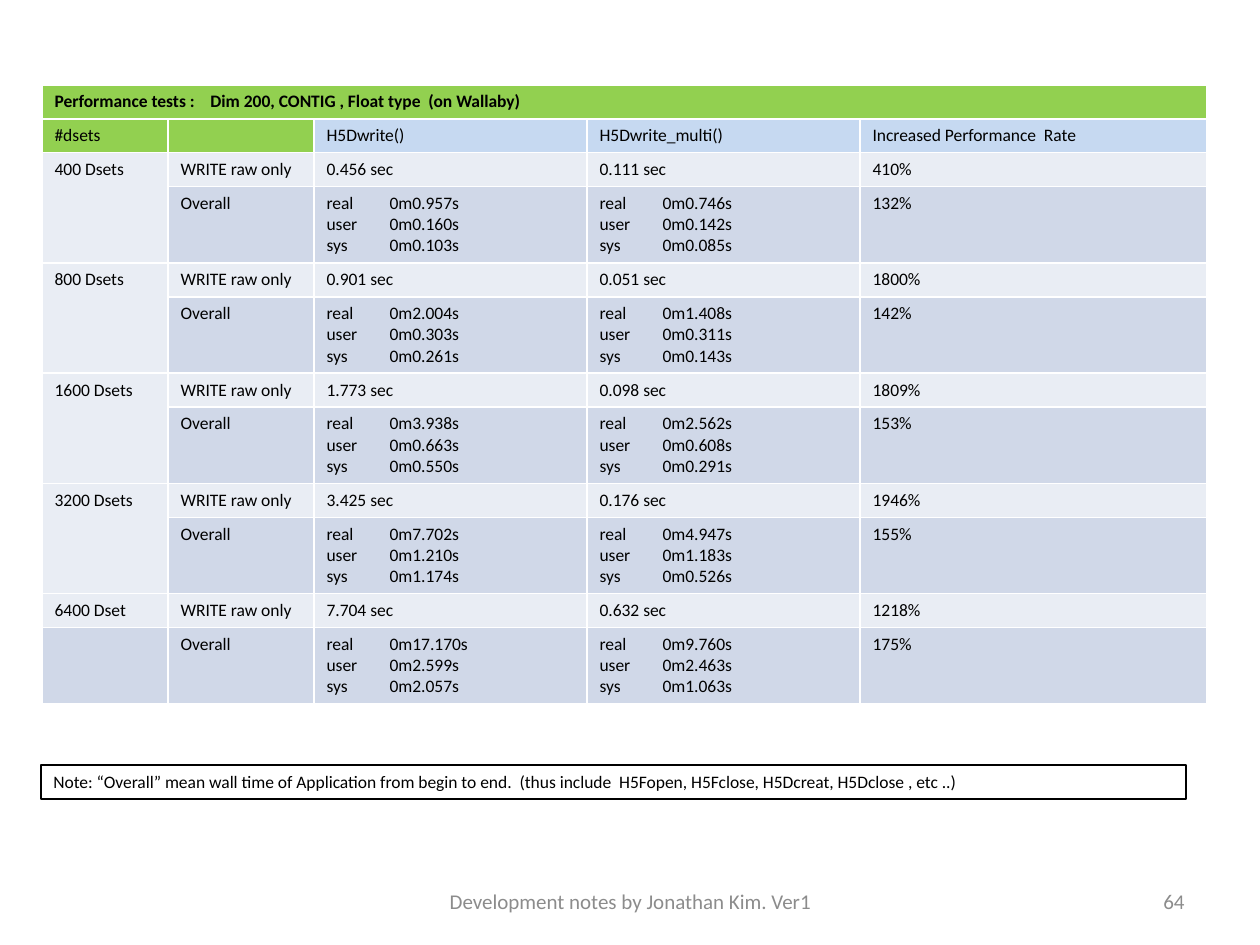
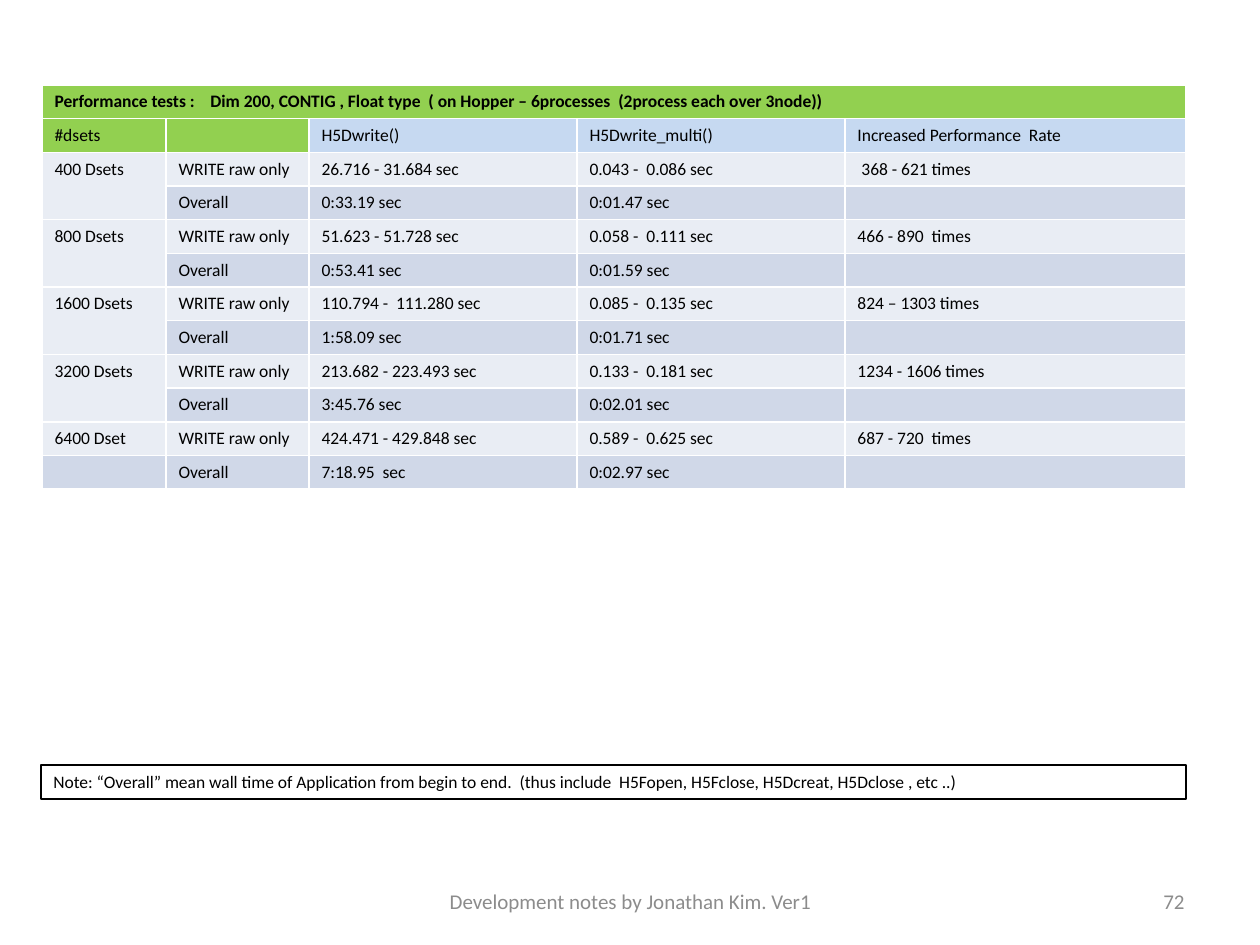
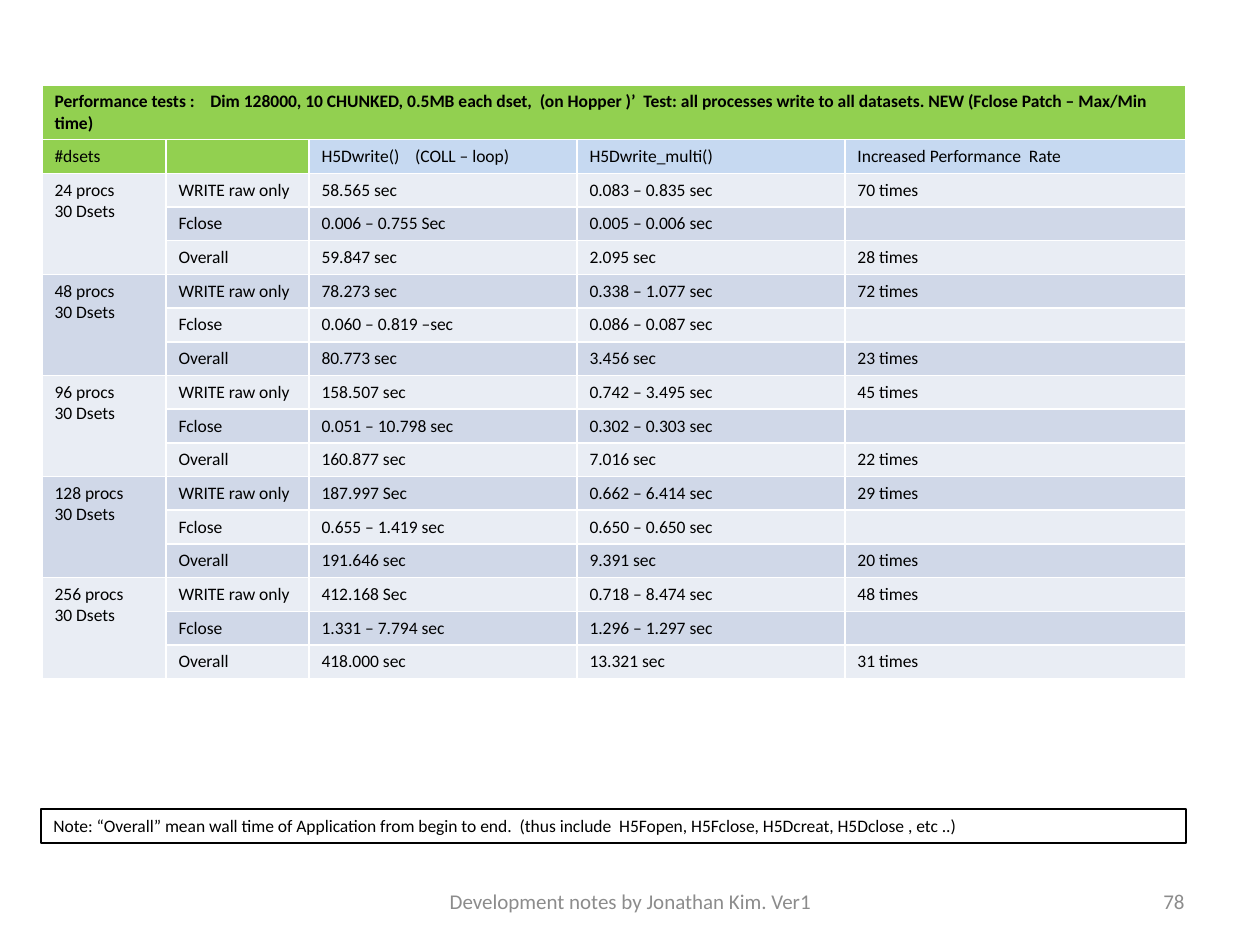
from pptx import Presentation
from pptx.dml.color import RGBColor
from pptx.enum.shapes import MSO_SHAPE
from pptx.enum.text import MSO_ANCHOR, PP_ALIGN
from pptx.util import Emu, Pt

RECTANGLE = MSO_SHAPE.RECTANGLE
TOP, MIDDLE = MSO_ANCHOR.TOP, MSO_ANCHOR.MIDDLE
LEFT, CENTER, RIGHT = PP_ALIGN.LEFT, PP_ALIGN.CENTER, PP_ALIGN.RIGHT

PX_PER_INCH = 126
FONT = "Calibri"
BLACK, GREY = "000000", "8C8C8C"
GREEN, PALE_BLUE = "92D050", "C6D9F1"
STRIPES = ("E9EDF4", "D0D8E8")
BLANK_LAYOUT = 6

TABLE_LEFT, TABLE_TOP = 42, 85
WIDE_COLUMNS = (126, 146, 273, 273, 347)
NARROW_COLUMNS = (124, 143, 268, 268, 341)
LINE_HEIGHT, CELL_PADDING = 21, 12
HEADER_FILLS = (GREEN, GREEN, PALE_BLUE, PALE_BLUE, PALE_BLUE)

FOOTER_BOX = (431, 876, 399, 50)
NUMBER_BOX = (903, 876, 294, 50)
FOOTER = "Development notes by Jonathan Kim. Ver1"
NOTE = ("Note: “Overall” mean wall time of Application from begin to end.  "
        "(thus include  H5Fopen, H5Fclose, H5Dcreat, H5Dclose , etc ..)")


def px(length):
    return Emu(round(length * 914400 / PX_PER_INCH))


def color(hex_string):
    return RGBColor.from_string(hex_string)


def write(frame, text, size=10, ink=BLACK, bold=False, align=LEFT):
    """Fill a text frame, one paragraph for each line of text."""
    frame.text = text
    for paragraph in frame.paragraphs:
        paragraph.alignment = align
        font = paragraph.font
        font.name, font.size, font.bold = FONT, Pt(size), bold
        font.color.rgb = color(ink)


def timing(real, user, system):
    return f"real\t{real}\nuser\t{user}\nsys\t{system}"


def add_results_table(page, title, write_heading, groups, columns, merge_last):
    """Each group is a label with its rows; the label spans those rows."""
    header = ("#dsets", "", write_heading, "H5Dwrite_multi()",
              "Increased Performance  Rate")
    rows = [(title, "", "", "", ""), header]
    for label, results in groups:
        rows += [(label if index == 0 else "", *result)
                 for index, result in enumerate(results)]

    # Labels span several rows, so they do not decide a row's height.
    heights = [CELL_PADDING + LINE_HEIGHT * max(text.count("\n") + 1 for text in row[1:])
               for row in rows]
    frame = page.shapes.add_table(len(rows), len(columns), px(TABLE_LEFT), px(TABLE_TOP),
                                  px(sum(columns)), px(sum(heights)))
    table = frame.table
    for column, width in zip(table.columns, columns):
        column.width = px(width)
    for index, (row, height) in enumerate(zip(rows, heights)):
        table.rows[index].height = px(height)
        for position, text in enumerate(row):
            if index == 0:
                fill = GREEN
            elif index == 1:
                fill = HEADER_FILLS[position]
            else:
                fill = STRIPES[index % 2]
            cell = table.cell(index, position)
            cell.fill.solid()
            cell.fill.fore_color.rgb = color(fill)
            write(cell.text_frame, text, bold=index == 0)

    table.cell(0, 0).merge(table.cell(0, len(columns) - 1))
    first = 2
    for label, results in groups if merge_last else groups[:-1]:
        last = first + len(results) - 1
        table.cell(first, 0).merge(table.cell(last, 0))
        first = last + 1


def add_note(page, top):
    note = page.shapes.add_shape(RECTANGLE, px(41), px(top), px(1145), px(34))
    note.shadow.inherit = False
    note.fill.background()
    note.line.color.rgb = color(BLACK)
    note.line.width = Pt(0.75)
    note.text_frame.word_wrap = True
    note.text_frame.vertical_anchor = TOP
    write(note.text_frame, NOTE)


def add_footer(page, number):
    for box, text, align in ((FOOTER_BOX, FOOTER, CENTER), (NUMBER_BOX, number, RIGHT)):
        frame = page.shapes.add_textbox(*map(px, box)).text_frame
        frame.word_wrap = True
        frame.vertical_anchor = MIDDLE
        write(frame, text, 12, GREY, align=align)


def add_results_page(deck, number, title, groups, columns=NARROW_COLUMNS,
                     write_heading="H5Dwrite()", merge_last=False, note_top=765):
    page = deck.slides.add_slide(deck.slide_layouts[BLANK_LAYOUT])
    add_results_table(page, title, write_heading, groups, columns, merge_last)
    add_note(page, note_top)
    add_footer(page, number)


def label_rows(label, *results):
    """Name a group's rows, with Fclose between the two when there are three."""
    names = ("WRITE raw only", "Fclose", "Overall") if len(results) == 3 else (
        "WRITE raw only", "Overall")
    return label, [(name, *result) for name, result in zip(names, results)]


WALLABY = [
    label_rows("400 Dsets", ("0.456 sec", "0.111 sec", "410%"),
               (timing("0m0.957s", "0m0.160s", "0m0.103s"),
                timing("0m0.746s", "0m0.142s", "0m0.085s"), "132%")),
    label_rows("800 Dsets", ("0.901 sec", "0.051 sec", "1800%"),
               (timing("0m2.004s", "0m0.303s", "0m0.261s"),
                timing("0m1.408s", "0m0.311s", "0m0.143s"), "142%")),
    label_rows("1600 Dsets", ("1.773 sec", "0.098 sec", "1809%"),
               (timing("0m3.938s", "0m0.663s", "0m0.550s"),
                timing("0m2.562s", "0m0.608s", "0m0.291s"), "153%")),
    label_rows("3200 Dsets", ("3.425 sec", "0.176 sec", "1946%"),
               (timing("0m7.702s", "0m1.210s", "0m1.174s"),
                timing("0m4.947s", "0m1.183s", "0m0.526s"), "155%")),
    label_rows("6400 Dset", ("7.704 sec", "0.632 sec", "1218%"),
               (timing("0m17.170s", "0m2.599s", "0m2.057s"),
                timing("0m9.760s", "0m2.463s", "0m1.063s"), "175%")),
]

HOPPER = [
    label_rows("400 Dsets", ("26.716 - 31.684 sec", "0.043 -  0.086 sec", " 368 - 621 times"),
               ("0:33.19 sec", "0:01.47 sec", "")),
    label_rows("800 Dsets", ("51.623 - 51.728 sec", "0.058 -  0.111 sec", "466 - 890  times"),
               ("0:53.41 sec", "0:01.59 sec", "")),
    label_rows("1600 Dsets",
               ("110.794 -  111.280 sec", "0.085 -  0.135 sec", "824 – 1303 times"),
               ("1:58.09 sec", "0:01.71 sec", "")),
    label_rows("3200 Dsets",
               ("213.682 - 223.493 sec", "0.133 -  0.181 sec", "1234 - 1606 times"),
               ("3:45.76 sec", "0:02.01 sec", "")),
    label_rows("6400 Dset", ("424.471 - 429.848 sec", "0.589 -  0.625 sec", "687 - 720  times"),
               ("7:18.95  sec", "0:02.97 sec", "")),
]

HOPPER_CHUNKED = [
    label_rows("24 procs\n30 Dsets", ("58.565 sec", "0.083 – 0.835 sec", "70 times"),
               ("0.006 – 0.755 Sec", "0.005 – 0.006 sec", ""),
               ("59.847 sec", "2.095 sec", "28 times")),
    label_rows("48 procs\n30 Dsets", ("78.273 sec", "0.338 – 1.077 sec", "72 times"),
               ("0.060 – 0.819 –sec", "0.086 – 0.087 sec", ""),
               ("80.773 sec", "3.456 sec", "23 times")),
    label_rows("96 procs\n30 Dsets", ("158.507 sec", "0.742 – 3.495 sec", "45 times"),
               ("0.051 – 10.798 sec", "0.302 – 0.303 sec", ""),
               ("160.877 sec", "7.016 sec", "22 times")),
    label_rows("128 procs\n30 Dsets", ("187.997 Sec", "0.662 – 6.414 sec", "29 times"),
               ("0.655 – 1.419 sec", "0.650 – 0.650 sec", ""),
               ("191.646 sec", "9.391 sec", "20 times")),
    label_rows("256 procs\n30 Dsets", ("412.168 Sec", "0.718 – 8.474 sec", "48 times"),
               ("1.331 – 7.794 sec", "1.296 – 1.297 sec", ""),
               ("418.000 sec", "13.321 sec", "31 times")),
]


def main():
    deck = Presentation()
    deck.slide_width, deck.slide_height = px(1260), px(945)
    add_results_page(
        deck, "64", "Performance tests :    Dim 200, CONTIG , Float type  (on Wallaby)",
        WALLABY, columns=WIDE_COLUMNS)
    add_results_page(
        deck, "72", "Performance tests :    Dim 200, CONTIG , Float type  "
        "( on Hopper – 6processes  (2process each over 3node))", HOPPER)
    add_results_page(
        deck, "78", "Performance tests :    Dim 128000, 10 CHUNKED, 0.5MB each dset,  "
        "(on Hopper )’  Test: all processes write to all datasets. "
        "NEW (Fclose Patch – Max/Min time)", HOPPER_CHUNKED,
        write_heading="H5Dwrite()    (COLL – loop)", merge_last=True, note_top=809)
    deck.save("out.pptx")


if __name__ == "__main__":
    main()
